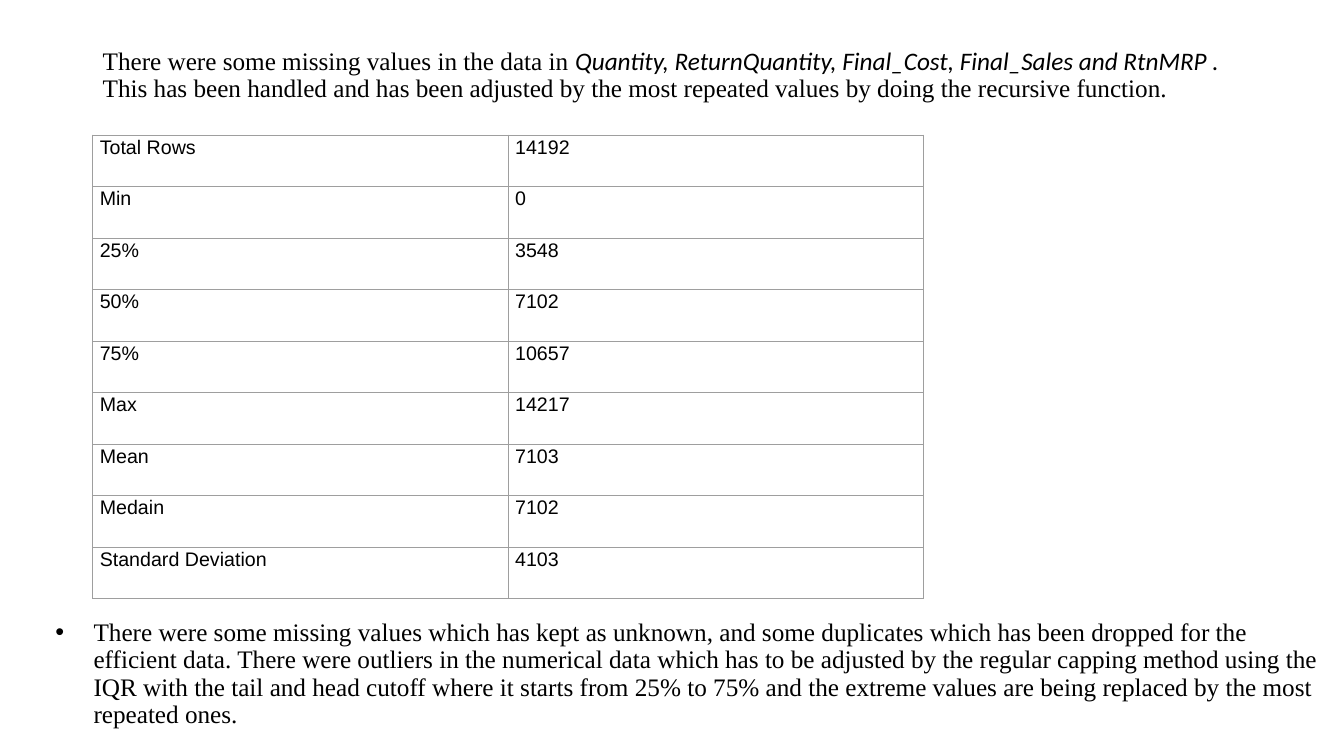
import pptx
import pptx.util
import pptx.dml.color
import pptx.enum.text
import pptx.oxml.ns
import lxml.etree

Inches = pptx.util.Inches
Pt = pptx.util.Pt
qn = pptx.oxml.ns.qn
Align = pptx.enum.text.PP_ALIGN


def color(code):
    return pptx.dml.color.RGBColor.from_string(code)


def write(frame, runs, size=18, align=Align.LEFT, line=0.9, after=0, inset=(0.1, 0.05)):
    frame.word_wrap = True
    frame.vertical_anchor = pptx.enum.text.MSO_ANCHOR.TOP
    frame.margin_left = frame.margin_right = Inches(inset[0])
    frame.margin_top = Inches(inset[1])
    frame.margin_bottom = 0
    para = frame.paragraphs[0]
    para.alignment = align
    para.line_spacing = line
    para.space_after = Pt(after)
    for text, face, slant in runs:
        run = para.add_run()
        run.text = text
        run.font.name = face
        run.font.size = Pt(size)
        run.font.italic = slant
        run.font.bold = False
        run.font.color.rgb = color("000000")
    return para


deck = pptx.Presentation()
deck.slide_width = Inches(13.33)
deck.slide_height = Inches(7.5)
slide = deck.slides.add_slide(deck.slide_layouts[6])

serif = "Times New Roman"
title = slide.shapes.add_textbox(Inches(0.92), Inches(0.4), Inches(11.5), Inches(1.42))
write(title.text_frame, [
    ("There were some missing values in the data in ", serif, False),
    ("Quantity, ReturnQuantity, Final_Cost, Final_Sales and RtnMRP . ", "Calibri", True),
    ("This has been handled and has been adjusted by the most repeated values "
     "by doing the recursive function.", serif, False),
], inset=(0.1, 0.08))

stats = [
    ("Total Rows", "14192"),
    ("Min", "0"),
    ("25%", "3548"),
    ("50%", "7102"),
    ("75%", "10657"),
    ("Max", "14217"),
    ("Mean", "7103"),
    ("Medain", "7102"),
    ("Standard Deviation", "4103"),
]
table = slide.shapes.add_table(len(stats), 2, Inches(0.92), Inches(1.34),
                               Inches(8.24), Inches(4.6)).table
table.first_row = False
table.horz_banding = False
for i, row in enumerate(stats):
    for j, text in enumerate(row):
        cell = table.cell(i, j)
        write(cell.text_frame, [(text, "Arial", False)], size=14,
              align=Align.JUSTIFY, line=1.07, after=8)
        cell.margin_left = cell.margin_right = Inches(0.07)
        cell.margin_top = cell.margin_bottom = 0
        props = cell._tc.get_or_add_tcPr()
        for side in ("a:lnL", "a:lnR", "a:lnT", "a:lnB"):
            edge = lxml.etree.SubElement(props, qn(side), w=str(Pt(0.75)))
            fill = lxml.etree.SubElement(edge, qn("a:solidFill"))
            lxml.etree.SubElement(fill, qn("a:srgbClr"), val="9E9E9E")
        cell.fill.background()

body = slide.shapes.add_textbox(Inches(0.33), Inches(5.93), Inches(13), Inches(1.9))
note = write(body.text_frame, [(
    "There were some missing values which has kept as unknown, and some duplicates "
    "which has been dropped for the efficient data. There were outliers in the "
    "numerical data which has to be adjusted by the regular capping method using the "
    "IQR with the tail and head cutoff where it starts from 25% to 75% and the extreme "
    "values are being replaced by the most repeated ones.", serif, False)],
    inset=(0.1, 0.22))
props = note._p.get_or_add_pPr()
props.set("marL", str(Inches(0.5)))
props.set("indent", str(Inches(-0.38)))
tint = lxml.etree.SubElement(props, qn("a:buClr"))
lxml.etree.SubElement(tint, qn("a:srgbClr"), val="000000")
lxml.etree.SubElement(props, qn("a:buFont"), typeface="Arial")
lxml.etree.SubElement(props, qn("a:buChar"), char="•")

deck.save("out.pptx")
